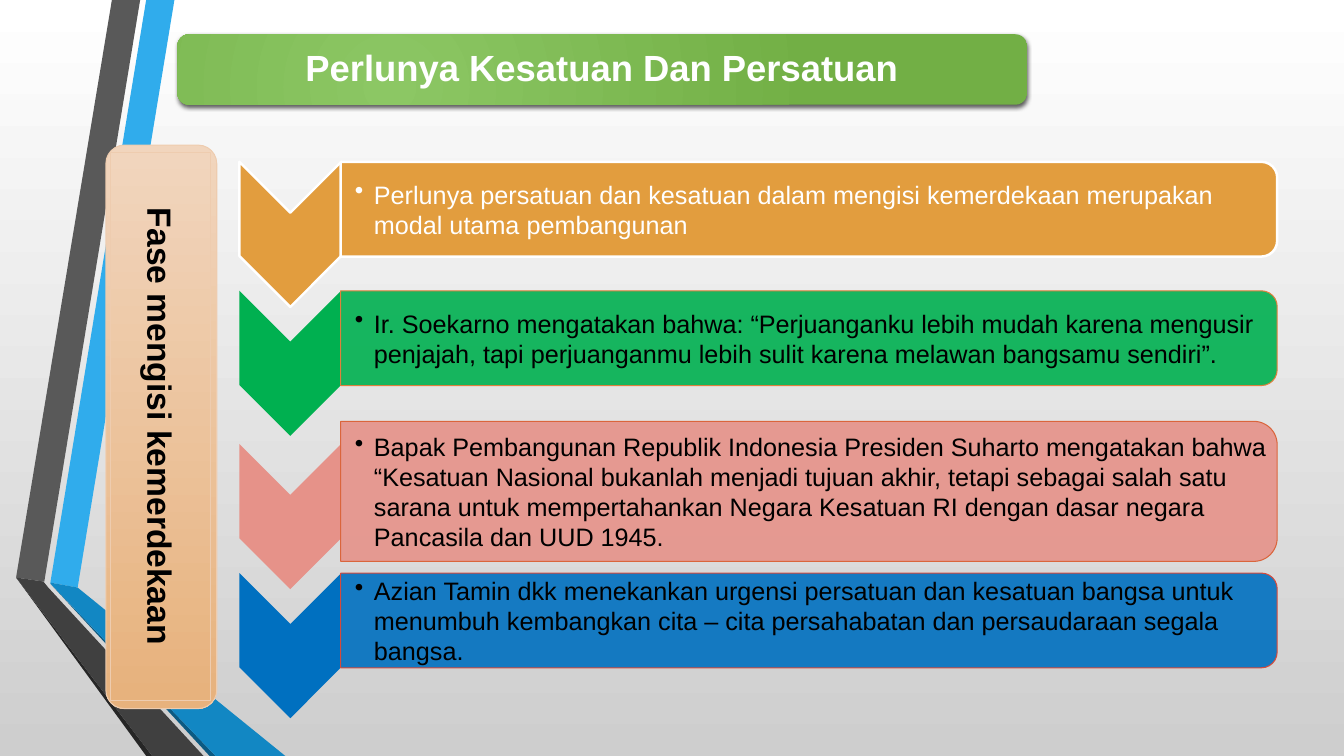
from dataclasses import dataclass

from lxml import etree
from pptx import Presentation
from pptx import util as u
from pptx.dml.color import RGBColor
from pptx.enum import shapes, text
from pptx.oxml import ns

A = ns.nsdecls("a")
KIND = shapes.MSO_SHAPE


@dataclass(frozen=True)
class Theme:
    font: str = "Arial"
    title_size: int = 26
    label_size: int = 24
    body_size: int = 18
    light: str = "FFFFFF"
    dark: str = "000000"
    backdrop: tuple = ("FFFFFF", "CECECE")
    banner: tuple = ("8CC764", "72AF45")
    panel: tuple = ("F1D5BD", "E7B27D")
    panel_line: str = "EECCAF"


class SlideBuilder:
    """Places elements by percentages of the slide's width and height."""

    def __init__(self, deck, theme):
        self.theme = theme
        self.width, self.height = deck.slide_width, deck.slide_height
        self.slide = deck.slides.add_slide(deck.slide_layouts[5])
        self.shapes = self.slide.shapes

    def at(self, x, y):
        return u.Emu(round(x * self.width / 100)), u.Emu(round(y * self.height / 100))

    def gradient(self, fill, colours):
        fill.gradient()
        fill.gradient_angle = 270
        for stop, colour in zip(fill.gradient_stops, colours):
            stop.color.rgb = RGBColor.from_string(colour)

    def paint(self, shape, fill, line=None, weight=0.75, alpha=100):
        shape.shadow.inherit = False
        if isinstance(fill, tuple):
            self.gradient(shape.fill, fill)
        else:
            shape.fill.solid()
            shape.fill.fore_color.rgb = RGBColor.from_string(fill)
        if alpha < 100:
            colour = shape.element.spPr.find(ns.qn("a:solidFill"))[0]
            etree.SubElement(colour, ns.qn("a:alpha"), val=str(alpha * 1000))
        if line:
            shape.line.color.rgb = RGBColor.from_string(line)
            shape.line.width = u.Pt(weight)
        else:
            shape.line.fill.background()

    def ribbon(self, points, colour):
        start, *rest = [self.at(*point) for point in points]
        outline = self.shapes.build_freeform(*start)
        outline.add_line_segments(rest, close=True)
        self.paint(outline.convert_to_shape(), colour)

    def block(self, kind, box, fill, turned=False, **style):
        left, top = self.at(*box[:2])
        width, height = self.at(*box[2:])
        if turned:  # box is the area seen after the quarter turn
            left += (width - height) // 2
            top -= (width - height) // 2
            width, height = height, width
        shape = self.shapes.add_shape(kind, left, top, width, height)
        shape.rotation = 90 if turned else 0
        self.paint(shape, fill, **style)
        return shape

    def set_words(self, shape, words, size, colour, insets,
                  bold=False, centred=True, bullet=False):
        frame = shape.text_frame
        frame.word_wrap = True
        frame.auto_size = text.MSO_AUTO_SIZE.NONE
        frame.vertical_anchor = text.MSO_ANCHOR.MIDDLE
        (frame.margin_left, frame.margin_top,
         frame.margin_right, frame.margin_bottom) = map(u.Inches, insets)
        frame.text = words
        paragraph = frame.paragraphs[0]
        paragraph.alignment = text.PP_ALIGN.CENTER if centred else text.PP_ALIGN.LEFT
        if bullet:
            props = paragraph._p.get_or_add_pPr()
            props.set("marL", str(u.Inches(0.19)))
            props.set("indent", str(-u.Inches(0.19)))
            etree.SubElement(props, ns.qn("a:buChar"), char="•")
        font = paragraph.font
        font.name, font.size, font.bold = self.theme.font, u.Pt(size), bold
        font.color.rgb = RGBColor.from_string(colour)
        return paragraph

    def title(self, words, box):
        banner = self.block(KIND.ROUNDED_RECTANGLE, box, self.theme.banner)
        props = banner.element.spPr
        grad = props.find(ns.qn("a:gradFill"))
        grad.replace(grad.find(ns.qn("a:lin")), etree.fromstring(
            f'<a:path {A} path="circle">'
            '<a:fillToRect l="50000" t="100000" r="100000" b="50000"/></a:path>'))
        shadow = etree.SubElement(
            props.find(ns.qn("a:effectLst")), ns.qn("a:outerShdw"), blurRad=str(u.Pt(3)),
            dist=str(u.Pt(2)), dir="5400000", algn="ctr", rotWithShape="0")
        shade = etree.SubElement(shadow, ns.qn("a:srgbClr"), val=self.theme.dark)
        etree.SubElement(shade, ns.qn("a:alpha"), val="64000")

        heading = self.shapes.title
        heading.left, heading.top = self.at(*box[:2])
        heading.width, heading.height = self.at(*box[2:])
        self.shapes._spTree.append(heading.element)  # bring in front of the banner
        paragraph = self.set_words(heading, words, self.theme.title_size, self.theme.light,
                                   [0.11] * 4, bold=True)
        paragraph.line_spacing = 0.9

    def phase_panel(self, words, outer, inner):
        style = dict(fill=self.theme.panel, line=self.theme.panel_line)
        self.block(KIND.ROUNDED_RECTANGLE, outer, **style)
        label = self.block(KIND.RECTANGLE, inner, **style)
        self.set_words(label, words, self.theme.label_size, self.theme.dark,
                       [0.08] * 4, bold=True)
        label.text_frame._txBody.bodyPr.set("vert", "vert")

    def statement(self, words, middle, height, colour, line, first=False):
        edge = dict(line=line, weight=1.75) if first else {}
        self.block(KIND.CHEVRON, (17.81, middle - 6.27, 7.58, 19.2), colour,
                   turned=True, **edge)
        top = middle - height / 2
        self.block(KIND.ROUND_2_SAME_RECTANGLE, (25.35, top, 69.68, height), colour,
                   turned=True, **(edge or dict(line=line, alpha=90)))
        body = self.shapes.add_textbox(*self.at(25.35, top + 0.6),
                                       *self.at(69.3, height - 1.2))
        self.set_words(body, words, self.theme.body_size,
                       self.theme.light if first else self.theme.dark,
                       (0.14, 0.01, 0.01, 0.01), centred=False, bullet=True)


RIBBONS = [
    ("30ACEC", [(3.75, 77.07), (5.78, 77.73), (12.98, 0), (10.88, 0)]),
    ("595959", [(10.43, 0), (8.33, 0), (1.2, 76.4), (3.3, 76.93)]),
    ("262626", [(1.2, 76.4), (10.88, 100), (11.33, 100)]),
    ("0C5A82", [(3.75, 77.2), (15.6, 100), (16.05, 100)]),
    ("1287C3", [(3.75, 77.2), (16.05, 100), (21.23, 100), (5.78, 77.73), (3.75, 77.07)]),
    ("404040", [(15.15, 100), (3.6, 77.73), (3.23, 76.93), (1.2, 76.4), (11.33, 100)]),
]

# Words, middle of the row, bar height, fill, outline
STATEMENTS = [
    ("Perlunya persatuan dan kesatuan dalam mengisi kemerdekaan merupakan modal utama "
     "pembangunan", 27.67, 12.53, "E29D3E", "FFFFFF"),
    ("Ir. Soekarno mengatakan bahwa: “Perjuanganku lebih mudah karena mengusir penjajah, "
     "tapi perjuanganmu lebih sulit karena melawan bangsamu sendiri”.",
     44.73, 12.53, "00B050", "DE803D"),
    ("Bapak Pembangunan Republik Indonesia Presiden Suharto mengatakan bahwa “Kesatuan "
     "Nasional bukanlah menjadi tujuan akhir, tetapi sebagai salah satu sarana untuk "
     "mempertahankan Negara Kesatuan RI dengan dasar negara Pancasila dan UUD 1945.",
     65, 18.53, "E69289", "DA653C"),
    ("Azian Tamin dkk menekankan urgensi persatuan dan kesatuan bangsa untuk menumbuh "
     "kembangkan cita – cita persahabatan dan persaudaraan segala bangsa.",
     82.07, 12.53, "0070C0", "D64A3B"),
]


def main():
    deck = Presentation()
    deck.slide_width, deck.slide_height = u.Inches(40 / 3), u.Inches(7.5)
    page = SlideBuilder(deck, Theme())

    # Backdrop and ribbons
    page.gradient(page.slide.background.fill, page.theme.backdrop)
    for colour, points in RIBBONS:
        page.ribbon(points, colour)

    # Title and phase label
    page.title("Perlunya Kesatuan Dan Persatuan", (13.2, 4.53, 63.23, 9.33))
    page.phase_panel("Fase mengisi kemerdekaan",
                     (7.88, 19.2, 8.25, 74.53), (8.25, 20.13, 7.43, 72.53))

    # Statements
    for index, row in enumerate(STATEMENTS):
        page.statement(*row, first=index == 0)

    deck.save("out.pptx")


if __name__ == "__main__":
    main()
